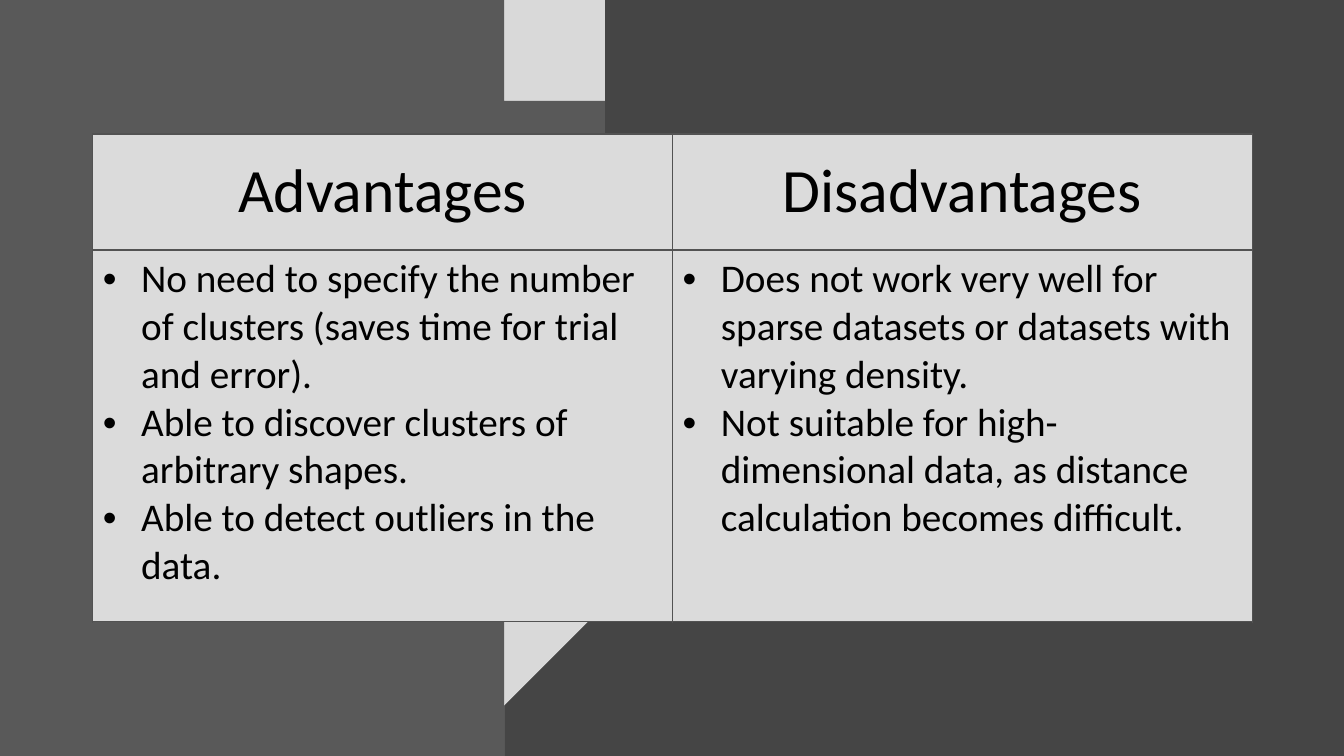
from lxml.etree import SubElement as Sub
from pptx import Presentation
from pptx.dml.color import RGBColor
from pptx.enum.text import MSO_ANCHOR as Anchor, PP_ALIGN as Align
from pptx.oxml import parse_xml
from pptx.oxml.ns import nsdecls, qn
from pptx.util import Inches, Pt

BACK = RGBColor(0x45, 0x45, 0x45)
PANEL = RGBColor(0x59, 0x59, 0x59)
WHITE = RGBColor(0xFF, 0xFF, 0xFF)
CELL = RGBColor(0xDB, 0xDB, 0xDB)
EDGE = RGBColor(0x52, 0x52, 0x52)
BLACK = RGBColor(0, 0, 0)


def curve(ends, steps=40):
    """Points along a cubic curve given by its four control points."""
    points = []
    for i in range(1, steps + 1):
        t = i / steps
        u = 1 - t
        parts = (u ** 3, 3 * u * u * t, 3 * u * t * t, t ** 3)
        points.append(tuple(sum(w * p[k] for w, p in zip(parts, ends))
                            for k in (0, 1)))
    return points


class Deck:
    font = "Calibri"
    head = Pt(44)
    body = Pt(28)
    indent = Inches(0.38)

    def __init__(self):
        self.prs = Presentation()
        self.prs.slide_width = Inches(13.33)
        self.prs.slide_height = Inches(7.5)
        self.slide = self.prs.slides.add_slide(self.prs.slide_layouts[6])
        fill = self.slide.background.fill
        fill.solid()
        fill.fore_color.rgb = BACK

    def panel(self, top, arc, foot, color, alpha=None):
        """Left panel, full height, with a curved right edge."""
        points = [(top, 0), arc[0], *curve(arc), (foot, 7.5), (0, 7.5)]
        form = self.slide.shapes.build_freeform(0, 0, scale=Inches(1))
        form.add_line_segments(points, close=True)
        shape = form.convert_to_shape()
        shape.shadow.inherit = False
        shape.line.fill.background()
        shape.fill.solid()
        shape.fill.fore_color.rgb = color
        if alpha:
            tone = shape._element.spPr.find(".//" + qn("a:srgbClr"))
            Sub(tone, qn("a:alpha"), val=str(alpha * 1000))

    def text(self, para, words, size):
        run = para.add_run()
        run.text = words
        run.font.name = self.font
        run.font.size = size
        run.font.bold = False
        run.font.color.rgb = BLACK

    def bullet(self, para):
        props = para._p.get_or_add_pPr()
        props.set("marL", str(self.indent))
        props.set("indent", str(-self.indent))
        Sub(props, qn("a:buFont"), typeface="Arial")
        Sub(props, qn("a:buChar"), char="•")

    def border(self, cell):
        props = cell._tc.get_or_add_tcPr()
        for i, side in enumerate("LRTB"):
            props.insert(i, parse_xml(
                f'<a:ln{side} {nsdecls("a")} w="{Pt(1)}"><a:solidFill>'
                f'<a:srgbClr val="{EDGE}"/></a:solidFill></a:ln{side}>'))

    def table(self, left, top, width, rows, data):
        """One column for each title and its list of points."""
        grid = self.slide.shapes.add_table(
            len(rows), len(data), Inches(left), Inches(top),
            Inches(width), Inches(sum(rows))).table
        for row, height in zip(grid.rows, rows):
            row.height = Inches(height)
        for col, (title, items) in enumerate(data.items()):
            name, notes = grid.cell(0, col), grid.cell(1, col)
            for cell in (name, notes):
                cell.fill.solid()
                cell.fill.fore_color.rgb = CELL
                self.border(cell)
            name.vertical_anchor = Anchor.MIDDLE
            para = name.text_frame.paragraphs[0]
            para.alignment = Align.CENTER
            self.text(para, title, self.head)
            frame = notes.text_frame
            for i, item in enumerate(items):
                para = frame.add_paragraph() if i else frame.paragraphs[0]
                self.bullet(para)
                self.text(para, item, self.body)


def main():
    deck = Deck()

    # Curved panels: pale rim, then the grey face over it
    deck.panel(5.57, [(5.6, 0.1), (6.22, 2.6), (6.04, 5.14), (5.21, 7.48)],
               5.21, WHITE, alpha=80)
    deck.panel(5.31, [(5.37, 0.21), (5.94, 2.58), (5.79, 4.99), (5.04, 7.22)],
               4.93, PANEL)

    # Comparison table
    deck.table(0.92, 1.33, 11.5, (1.15, 3.69), {
        "Advantages": [
            "No need to specify the number of clusters (saves time for trial and error).",
            "Able to discover clusters of arbitrary shapes.",
            "Able to detect outliers in the data.",
        ],
        "Disadvantages": [
            "Does not work very well for sparse datasets or datasets with varying density.",
            "Not suitable for high-dimensional data, as distance calculation becomes difficult.",
        ],
    })

    deck.prs.save("out.pptx")


if __name__ == "__main__":
    main()
